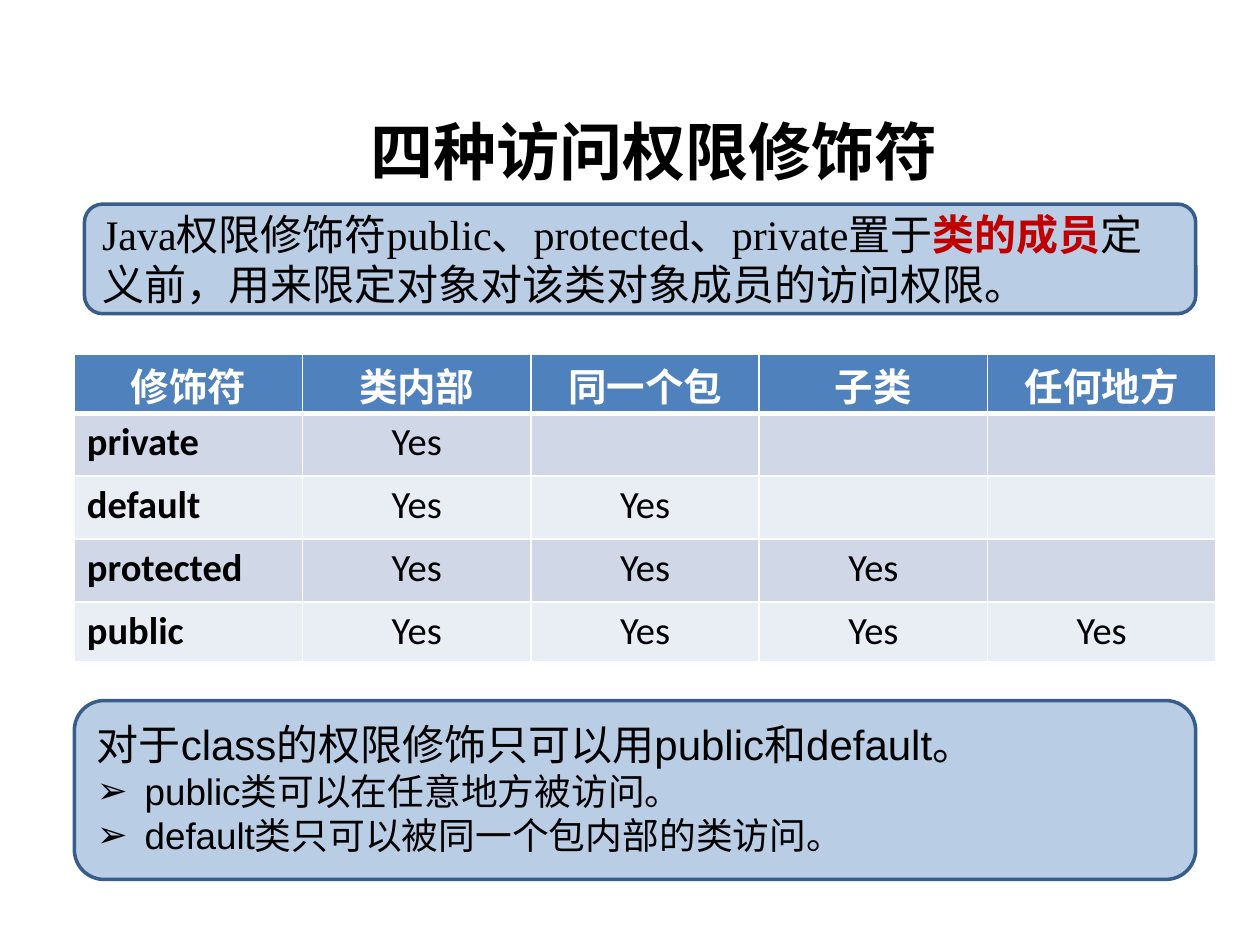
from dataclasses import dataclass

from pptx import Presentation
from pptx.dml.color import RGBColor
from pptx.enum.shapes import MSO_SHAPE
from pptx.enum.text import MSO_ANCHOR as Anchor, MSO_AUTO_SIZE as AutoSize, PP_ALIGN as Align
from pptx.oxml.ns import qn
from pptx.util import Inches, Pt
from lxml.etree import SubElement


@dataclass(frozen=True)
class Theme:
    ink: str = "000000"
    paper: str = "FFFFFF"
    accent: str = "C00000"
    panel: str = "B9CDE5"
    outline: str = "385D8A"
    header: str = "4F81BD"
    bands: tuple = ("D0D8E8", "E9EDF4")
    latin: str = "Arial"
    serif: str = "Times New Roman"
    table: str = "Calibri"
    cjk: str = "Noto Sans CJK SC"
    title: int = 36
    lead: int = 24
    cell: int = 22
    item: int = 21
    leading: float = 1.2


@dataclass(frozen=True)
class Panel:
    left: float
    top: float
    width: float
    height: float


@dataclass(frozen=True)
class Modifier:
    name: str
    reach: int


T = Theme()
PANELS = [Panel(0.59, 5.56, 8.9, 1.42), Panel(0.67, 1.62, 8.82, 0.87)]
HEADINGS = ["修饰符", "类内部", "同一个包", "子类", "任何地方"]
MODIFIERS = [Modifier("private", 1), Modifier("default", 2),
             Modifier("protected", 3), Modifier("public", 4)]
ROW_HEIGHTS = [0.47, 0.5, 0.5, 0.5, 0.47]
RULES = [
    "public类可以在任意地方被访问。",
    "default类只可以被同一个包内部的类访问。",
]


def rgb(value: str) -> RGBColor:
    return RGBColor.from_string(value)


def add_text(p, text: str, *, size: int, font: str = T.latin, color: str = T.ink,
             bold: bool = False, align=Align.LEFT, bullet: str = "") -> None:
    p.alignment = align
    p.line_spacing = Pt(size * T.leading)
    if bullet:
        pPr = p._p.get_or_add_pPr()
        pPr.set("marL", str(Inches(0.38)))
        pPr.set("indent", str(Inches(-0.38)))
        SubElement(pPr, qn("a:buFont"), typeface=T.latin)
        SubElement(pPr, qn("a:buChar"), char=bullet)
    r = p.add_run()
    r.text = text
    r.font.size = Pt(size)
    r.font.name = font
    r.font.bold = bold
    r.font.color.rgb = rgb(color)
    SubElement(r._r.get_or_add_rPr(), qn("a:ea"), typeface=T.cjk)


def add_panel(s, panel: Panel):
    sp = s.shapes.add_shape(MSO_SHAPE.ROUNDED_RECTANGLE, Inches(panel.left), Inches(panel.top),
                            Inches(panel.width), Inches(panel.height))
    sp.shadow.inherit = False
    sp.fill.solid()
    sp.fill.fore_color.rgb = rgb(T.panel)
    sp.line.color.rgb = rgb(T.outline)
    sp.line.width = Pt(2)
    return sp


def style_cell(cell, fill: str, top: float, bottom: float) -> None:
    tcPr = cell._tc.get_or_add_tcPr()
    for side, width in {"L": 1, "R": 1, "T": top, "B": bottom}.items():
        ln = SubElement(tcPr, qn(f"a:ln{side}"), w=str(Pt(width)))
        SubElement(SubElement(ln, qn("a:solidFill")), qn("a:srgbClr"), val=T.paper)
    cell.fill.solid()
    cell.fill.fore_color.rgb = rgb(fill)


def add_access_table(s) -> None:
    table = s.shapes.add_table(len(MODIFIERS) + 1, len(HEADINGS), Inches(0.59), Inches(2.81),
                               Inches(9.06), Inches(sum(ROW_HEIGHTS))).table
    for row, height in zip(table.rows, ROW_HEIGHTS):
        row.height = Inches(height)
    for cell, heading in zip(table.rows[0].cells, HEADINGS):
        style_cell(cell, T.header, 1, 3)
        cell.margin_top, cell.margin_bottom = Inches(0.1), 0
        add_text(cell.text_frame.paragraphs[0], heading, size=T.cell, font=T.cjk,
                 color=T.paper, bold=True, align=Align.CENTER)
    for i, modifier in enumerate(MODIFIERS):
        for j, cell in enumerate(table.rows[i + 1].cells):
            style_cell(cell, T.bands[i % 2], 3 if i == 0 else 1, 1)
            p = cell.text_frame.paragraphs[0]
            if j == 0:
                add_text(p, modifier.name, size=T.cell, font=T.table, bold=True)
            elif j <= modifier.reach:
                add_text(p, "Yes", size=T.cell, font=T.table, align=Align.CENTER)


def add_title(s) -> None:
    title = s.shapes.title
    title.left, title.top = Inches(2.72), Inches(0.84)
    title.width, title.height = Inches(5.75), Inches(0.71)
    tf = title.text_frame
    tf.auto_size = AutoSize.NONE
    tf.vertical_anchor = Anchor.MIDDLE
    tf.margin_left = Inches(0.22)
    add_text(tf.paragraphs[0], "四种访问权限修饰符", size=T.title, bold=True)


def add_definition(sp) -> None:
    tf = sp.text_frame
    tf.word_wrap = True
    tf.vertical_anchor = Anchor.MIDDLE
    p = tf.paragraphs[0]
    add_text(p, "Java权限修饰符public、protected、private置于", size=T.lead, font=T.serif)
    add_text(p, "类的成员", size=T.lead, font=T.serif, color=T.accent, bold=True)
    add_text(p, "定义前，用来限定对象对该类对象成员的访问权限。", size=T.lead, font=T.serif)


def add_class_rules(s) -> None:
    tf = s.shapes.add_textbox(Inches(0.67), Inches(5.65), Inches(8.9), Inches(1.25)).text_frame
    tf.word_wrap = True
    add_text(tf.paragraphs[0], "对于class的权限修饰只可以用public和default。", size=T.lead)
    for rule in RULES:
        add_text(tf.add_paragraph(), rule, size=T.item, bullet="➢")


def main() -> None:
    prs = Presentation()
    prs.slide_width, prs.slide_height = Inches(10), Inches(7.5)
    s = prs.slides.add_slide(prs.slide_layouts[5])
    rules_panel, definition_panel = [add_panel(s, panel) for panel in PANELS]
    add_definition(definition_panel)
    add_title(s)
    add_access_table(s)
    add_class_rules(s)
    prs.save("out.pptx")


if __name__ == "__main__":
    main()
